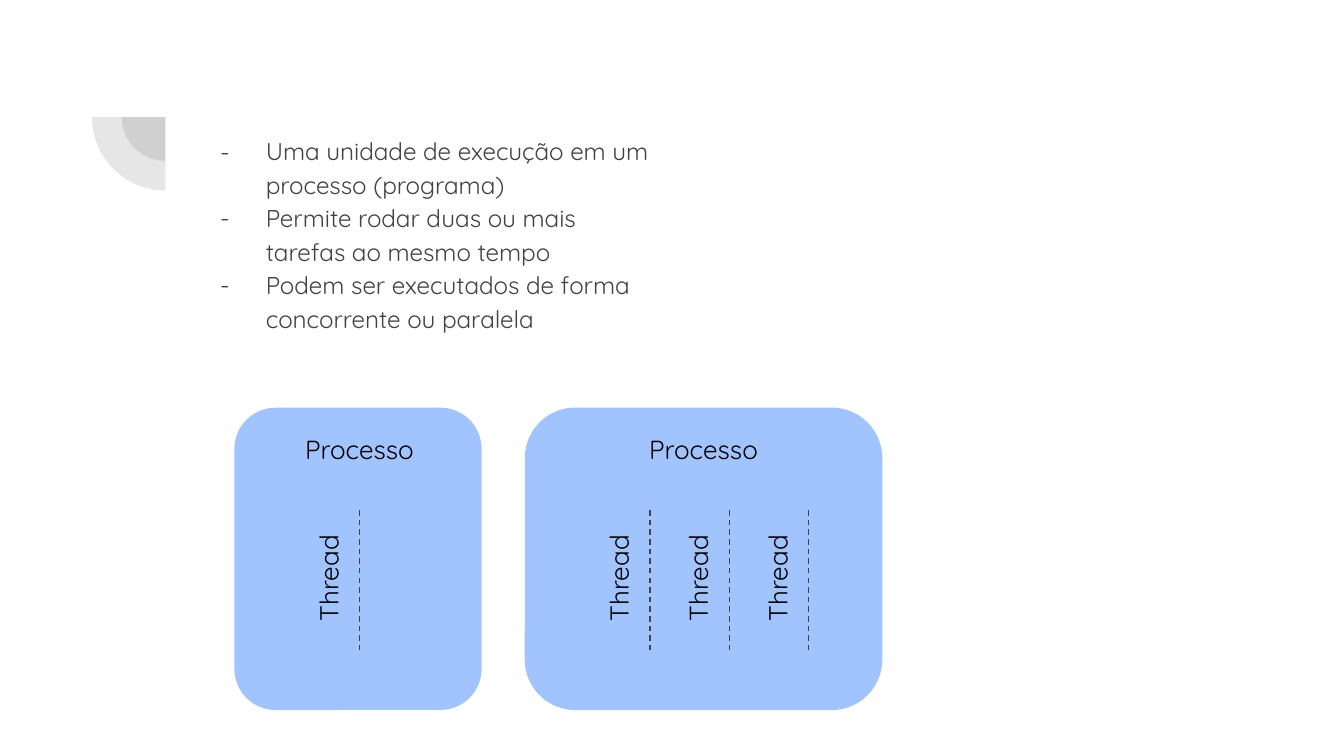
from lxml import etree
from pptx import Presentation
from pptx import util as u
from pptx.dml.color import RGBColor
from pptx.enum import dml, shapes, text
from pptx.oxml.ns import qn

INK, BLUE, BLACK = "424242", "7BADFF", "000000"
FONT = "Quicksand"

prs = Presentation()
prs.slide_width = u.Inches(10)
prs.slide_height = prs.slide_width * 9 // 16
CELL = prs.slide_width / 100  # square grid, 100 columns across the slide


def grid(*cells):
    return [u.Emu(round(n * CELL)) for n in cells]


def paint(fill, colour, opacity=100):
    """Fill with a hex colour at an opacity in percent."""
    fill.solid()
    fill.fore_color.rgb = RGBColor.from_string(colour)
    if opacity < 100:
        solid = fill.fore_color._xFill
        etree.SubElement(solid[0], qn("a:alpha"), val=str(opacity * 1000))


slide = prs.slides.add_slide(prs.slide_layouts[1])
title, body = slide.placeholders
title.element.getparent().remove(title.element)

# Concentric quarter discs in the corner
corner_col, corner_row = 12.3, 8.72
for diameter in (6.5, 10.9):
    disc = slide.shapes.add_shape(
        shapes.MSO_SHAPE.PIE,
        *grid(corner_col - diameter / 2, corner_row - diameter / 2, diameter, diameter))
    disc.adjustments[0], disc.adjustments[1] = 108, 162
    disc.rotation = 270
    disc.shadow.inherit = False
    disc.line.fill.background()
    paint(disc.fill, INK, 13)

# Definition list
body.left, body.top, body.width, body.height = grid(13.78, 8.83, 36.2, 40.7)
points = [
    "Uma unidade de execução em um processo (programa)",
    "Permite rodar duas ou mais tarefas ao mesmo tempo",
    "Podem ser executados de forma concorrente ou paralela",
]
frame = body.text_frame
frame.text = "\n".join(points)
frame_format = {"word_wrap": True, "auto_size": text.MSO_AUTO_SIZE.NONE,
                "margin_left": u.Inches(0.1), "margin_right": u.Inches(0.1),
                "margin_top": u.Inches(0.1), "margin_bottom": u.Inches(0.1)}
for key, value in frame_format.items():
    setattr(frame, key, value)
for point in frame.paragraphs:
    for key, value in {"line_spacing": 1.15, "space_before": u.Pt(0),
                       "alignment": text.PP_ALIGN.LEFT}.items():
        setattr(point, key, value)
    point.runs[0].font.size, point.runs[0].font.name = u.Pt(13), FONT
    paint(point.runs[0].font.fill, INK)
    props = point._p.get_or_add_pPr()
    props.set("marL", str(u.Inches(0.5)))
    props.set("indent", str(u.Inches(-0.34)))
    bullet_colour = etree.SubElement(props, qn("a:buClr"))
    etree.SubElement(bullet_colour, qn("a:srgbClr"), val=INK)
    etree.SubElement(props, qn("a:buFont"), typeface=FONT)
    etree.SubElement(props, qn("a:buChar"), char="-")

# Processes: card column, card width, heading column, first thread column, threads
processes = [(17.44, 18.4, 16.5, 26.77, 1), (39.05, 26.6, 42.1, 48.37, 3)]
thread_gap = 5.9
for card_col, card_width, heading_col, thread_col, threads in processes:
    card = slide.shapes.add_shape(
        shapes.MSO_SHAPE.ROUNDED_RECTANGLE, *grid(card_col, 30.33, card_width, 22.5))
    card.shadow.inherit = False
    card.line.fill.background()
    paint(card.fill, BLUE, 71)

    labels = [("Processo", heading_col, 31.9, 20.5, 0)]
    for i in range(threads):
        col = thread_col + i * thread_gap
        thread = slide.shapes.add_connector(
            shapes.MSO_CONNECTOR.STRAIGHT, *grid(col, 48.4, col, 37.7))
        thread.line.width = u.Pt(0.75)
        thread.line.dash_style = dml.MSO_LINE.DASH
        paint(thread.line.fill, INK)
        etree.SubElement(thread._element.spPr, qn("a:effectLst"))
        labels.append(("Thread", col - 8.1, 41.52, 11.5, 270))

    for words, col, row, width, turn in labels:
        label = slide.shapes.add_textbox(*grid(col, row, width, 3))
        label.rotation = turn
        for key, value in frame_format.items():
            setattr(label.text_frame, key, value)
        label.text_frame.vertical_anchor = text.MSO_ANCHOR.MIDDLE
        line = label.text_frame.paragraphs[0]
        line.text, line.alignment = words, text.PP_ALIGN.CENTER
        line.font.size, line.font.name = u.Pt(14), FONT
        paint(line.font.fill, BLACK)

prs.save("out.pptx")
